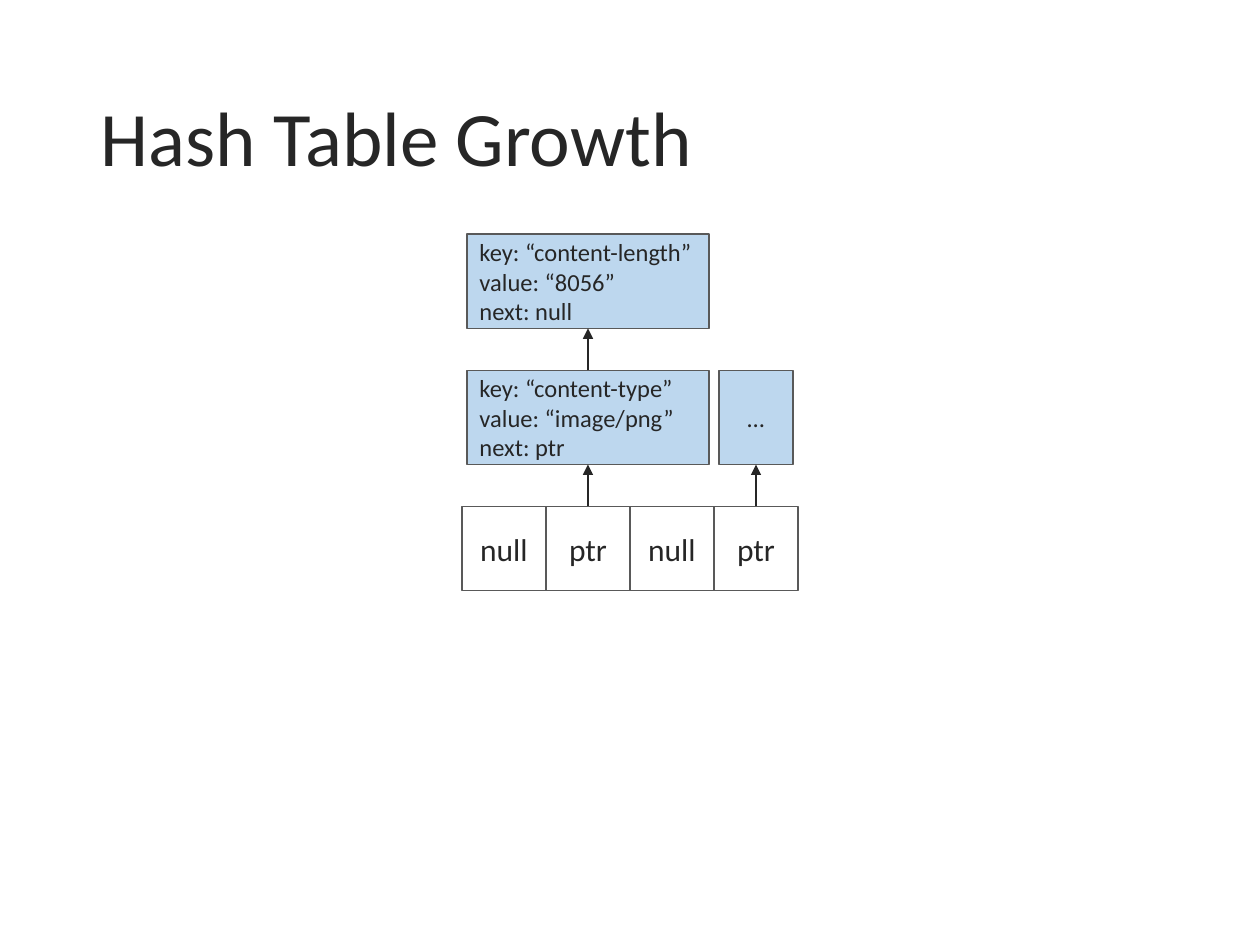
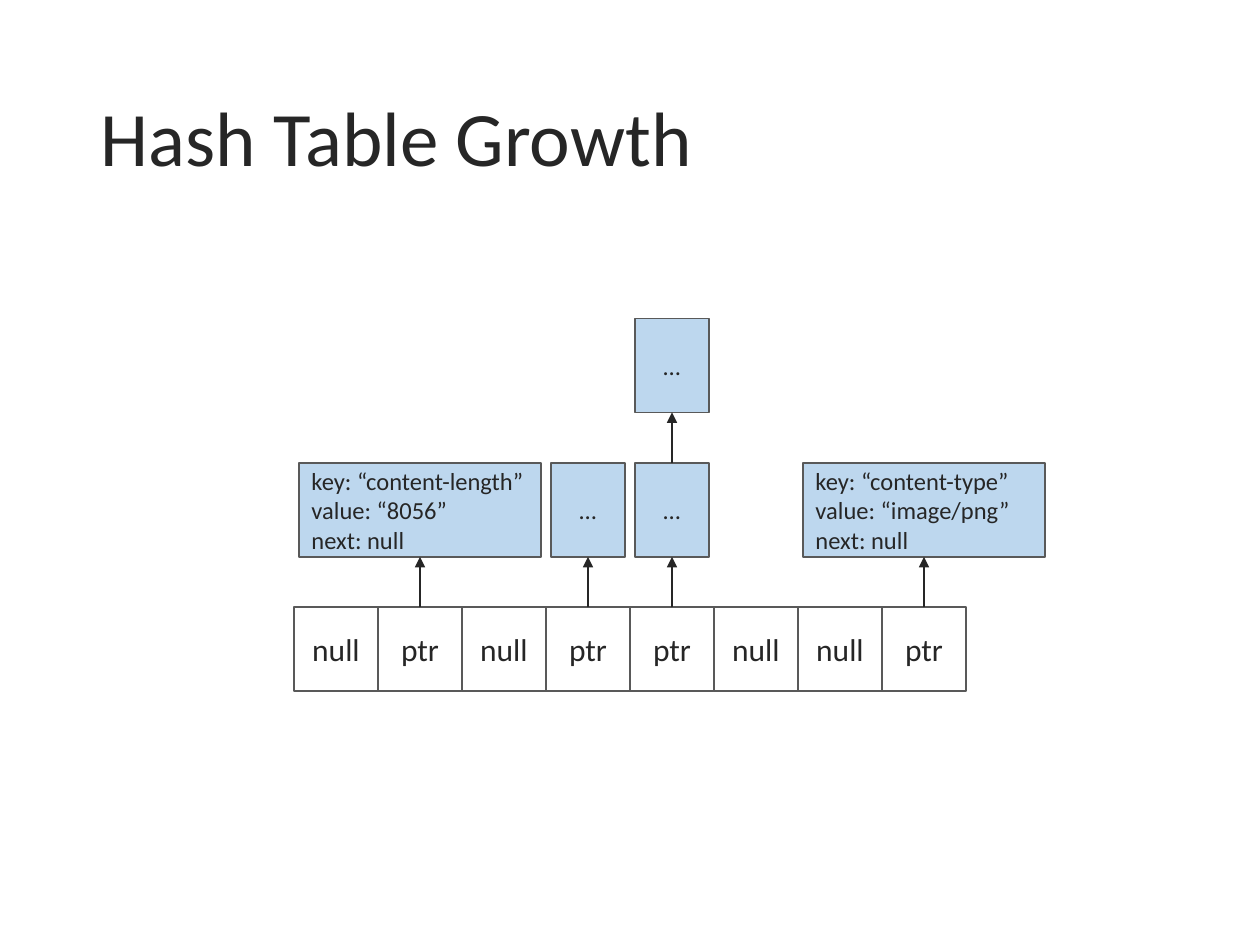
from lxml.etree import SubElement
from pptx import Presentation
from pptx.dml.color import RGBColor
from pptx.enum.shapes import MSO_CONNECTOR, MSO_SHAPE
from pptx.enum.text import MSO_ANCHOR, MSO_AUTO_SIZE, PP_ALIGN
from pptx.oxml.ns import qn
from pptx.util import Inches, Pt

COLORS = {"ink": "262626", "edge": "595959", "slot": "FFFFFF", "node": "BDD7EE"}
TITLE = "Hash Table Growth"
MORE = ["…"]


def entry(key, value, following):
    return [f"key: “{key}”", f"value: “{value}”", f"next: {following}"]


def color(name):
    return RGBColor.from_string(COLORS[name])


def style(target, formats):
    for attribute, value in formats.items():
        setattr(target, attribute, value)


class HashDeck:
    """Draws hash tables on a grid of square slots, 15 to the slide's width."""

    columns = 15
    node_height = 1.12
    node_margin = 0.12
    frame = {"vertical_anchor": MSO_ANCHOR.MIDDLE, "word_wrap": True,
             "auto_size": MSO_AUTO_SIZE.NONE}

    def __init__(self):
        self.deck = Presentation()
        style(self.deck, {"slide_width": Inches(10), "slide_height": Inches(7.5)})
        self.unit = self.deck.slide_width / self.columns
        self.slide = None

    def grid(self, *lengths):
        return [round(length * self.unit) for length in lengths]

    def label(self, shape, lines, size, paragraph_format):
        style(shape.text_frame, self.frame)
        shape.text_frame.text = "\n".join(lines)
        for paragraph in shape.text_frame.paragraphs:
            style(paragraph, paragraph_format)
            style(paragraph.font, {"name": "Calibri", "size": Pt(size)})
            paragraph.font.color.rgb = color("ink")

    def add_slide(self, title):
        self.slide = self.deck.slides.add_slide(self.deck.slide_layouts[5])
        heading = self.slide.shapes.title
        width, height = self.deck.slide_width, self.deck.slide_height
        style(heading, {"left": round(0.07 * width), "top": round(0.05 * height),
                        "width": round(0.86 * width), "height": round(0.2 * height)})
        self.label(heading, [title], 44,
                   {"alignment": PP_ALIGN.LEFT, "line_spacing": 0.9})

    def box(self, column, row, width, height, fill, lines, size):
        box = self.slide.shapes.add_shape(
            MSO_SHAPE.RECTANGLE, *self.grid(column, row, width, height))
        box.shadow.inherit = False
        box.fill.solid()
        box.fill.fore_color.rgb = color(fill)
        box.line.color.rgb = color("edge")
        box.line.width = Pt(1)
        alignment = PP_ALIGN.LEFT if len(lines) > 1 else PP_ALIGN.CENTER
        self.label(box, lines, size, {"alignment": alignment})
        return box

    def node(self, center, row, lines):
        span = 3 if len(lines) > 1 else 1
        width = span - self.node_margin
        return self.box(center - width / 2, row, width, self.node_height,
                        "node", lines, 14)

    def arrow(self, lower, upper):
        arrow = self.slide.shapes.add_connector(MSO_CONNECTOR.STRAIGHT, 0, 0, 0, 0)
        arrow.begin_connect(lower, 0)
        arrow.end_connect(upper, 2)
        arrow.line.color.rgb = color("ink")
        arrow.line.width = Pt(0.75)
        properties = arrow.element.spPr
        SubElement(properties.find(qn("a:ln")), qn("a:tailEnd"), type="triangle")
        SubElement(properties, qn("a:effectLst"))

    def table(self, row, gap, chains):
        first = (self.columns - len(chains)) / 2
        for index, chain in enumerate(chains):
            column = first + index
            pointer = "ptr" if chain else "null"
            below = self.box(column, row, 1, 1, "slot", [pointer], 18)
            for depth, lines in enumerate(chain, 1):
                node_row = row - depth * (gap + self.node_height)
                node = self.node(column + 0.5, node_row, lines)
                self.arrow(below, node)
                below = node


def main():
    hash_deck = HashDeck()
    length = entry("content-length", "8056", "null")
    image = ("content-type", "image/png")
    tables = [
        (6.03, 0.5, [[], [entry(*image, "ptr"), length], [], [MORE]]),
        (7.23, 0.6, [[], [length], [], [MORE], [MORE, MORE], [], [],
                     [entry(*image, "null")]]),
    ]
    for row, gap, chains in tables:
        hash_deck.add_slide(TITLE)
        hash_deck.table(row, gap, chains)
    hash_deck.deck.save("out.pptx")


if __name__ == "__main__":
    main()
